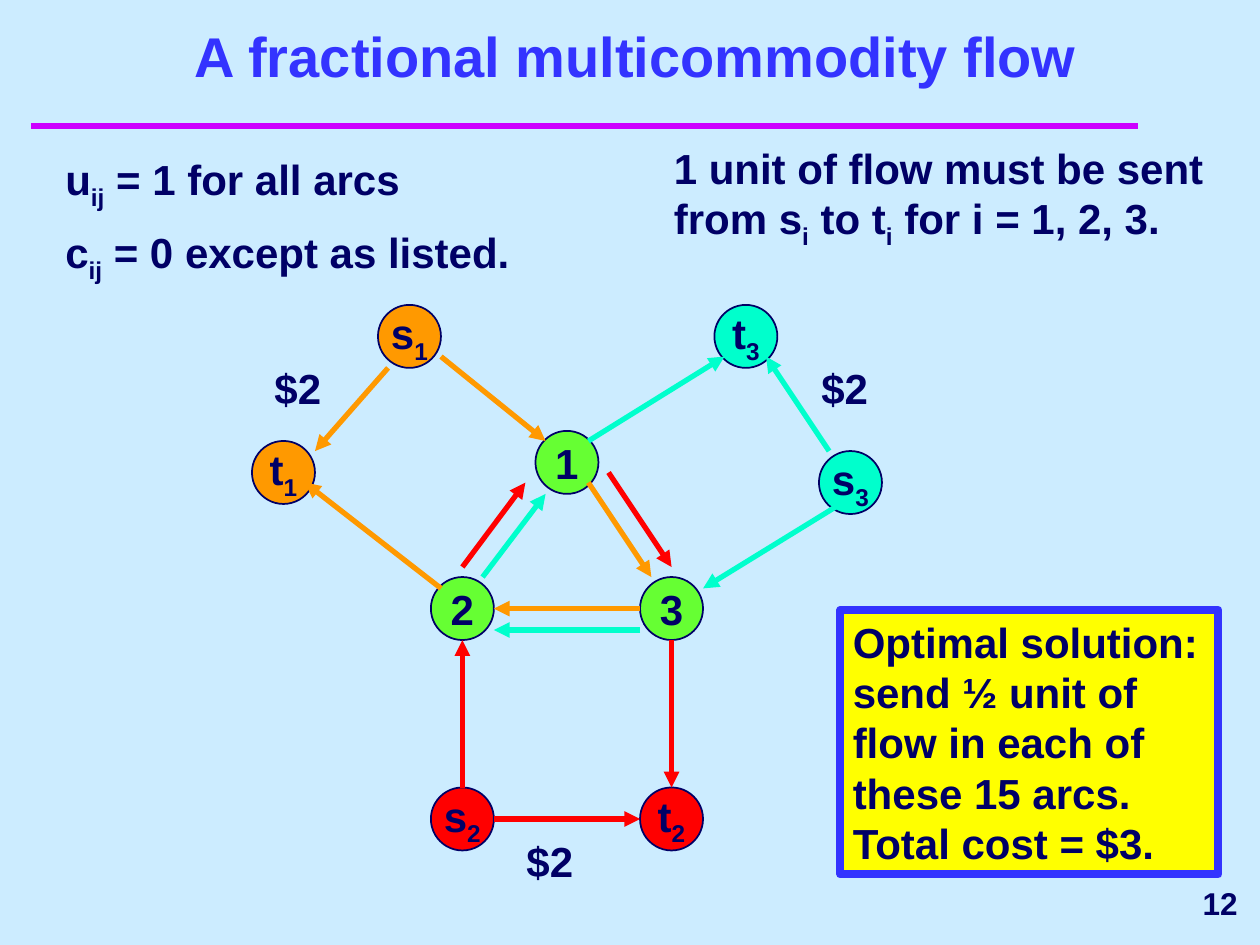
from lxml.etree import SubElement
from pptx import Presentation
from pptx.dml.color import RGBColor
from pptx.enum.shapes import MSO_CONNECTOR, MSO_SHAPE
from pptx.enum.text import MSO_ANCHOR, PP_ALIGN
from pptx.oxml.ns import qn
from pptx.util import Inches, Pt

NAVY, BLUE, PURPLE = "000066", "3333FF", "CC00FF"
ORANGE, CYAN, RED, GREEN = "FF9900", "00FFCC", "FF0000", "66FF33"
NODE = 0.5

NODES = [
    ("s_1", 1, 0, ORANGE), ("t_3", 3.67, 0, CYAN), ("1", 2.25, 1, GREEN),
    ("t_1", 0, 1.08, ORANGE), ("2", 1.42, 2.16, GREEN), ("s_2", 1.42, 3.83, RED),
    ("3", 3.08, 2.16, GREEN), ("s_3", 4.5, 1.16, CYAN), ("t_2", 3.08, 3.83, RED),
]
FLOWS = {
    ORANGE: [
        (1.08, 0.5, 0.5, 1.16), (1.5, 0.41, 2.33, 1.08), (3.08, 2.41, 1.92, 2.41),
        (2.67, 1.41, 3.17, 2.16), (1.5, 2.25, 0.42, 1.41),
    ],
    CYAN: [
        (2.67, 1.08, 3.75, 0.41), (1.83, 2.16, 2.33, 1.5), (4.67, 1.58, 3.58, 2.25),
        (4.58, 1.16, 4.08, 0.41), (3.08, 2.58, 1.92, 2.58),
    ],
    RED: [
        (1.67, 2.08, 2.17, 1.41), (1.67, 3.83, 1.67, 2.66), (3.33, 2.66, 3.33, 3.83),
        (1.92, 4.08, 3.08, 4.08), (2.83, 1.33, 3.33, 2.08),
    ],
}
COSTS = [(0.08, 0.41), (4.42, 0.41), (2.08, 4.16)]


def rgb(color):
    """Turn a hex string into a colour."""
    return RGBColor.from_string(color)


def write(sp, text, size=24, color=NAVY, align=PP_ALIGN.LEFT, anchor=MSO_ANCHOR.TOP, wrap=True):
    """Fill a shape with bold text, where _x_ or a final _x is a subscript."""
    tf = sp.text_frame
    tf.word_wrap = wrap
    tf.vertical_anchor = anchor
    p = tf.paragraphs[0]
    p.alignment = align
    p.font.name, p.font.size, p.font.bold = "Arial", Pt(size), True
    p.font.color.rgb = rgb(color)
    for i, part in enumerate(text.split("_")):
        r = p.add_run()
        r.text = part
        if i % 2:
            r._r.get_or_add_rPr().set("baseline", "-25000")


def add_text(s, box, text, **style):
    """Add a text box at left, top, width, height."""
    write(s.shapes.add_textbox(*map(Inches, box)), text, **style)


def add_panel(s, kind, box, fill, line, width):
    """Add a filled and outlined shape."""
    sp = s.shapes.add_shape(kind, *map(Inches, box))
    sp.shadow.inherit = False
    sp.fill.solid()
    sp.fill.fore_color.rgb = rgb(fill)
    sp.line.color.rgb = rgb(line)
    sp.line.width = Pt(width)
    return sp


def add_line(s, ends, color, width, arrow=False):
    """Add a straight line, with an arrowhead at its end if asked."""
    c = s.shapes.add_connector(MSO_CONNECTOR.STRAIGHT, *map(Inches, ends))
    c.line.color.rgb = rgb(color)
    c.line.width = Pt(width)
    if arrow:
        SubElement(c.line._get_or_add_ln(), qn("a:tailEnd"), type="triangle")
    SubElement(c._element.spPr, qn("a:effectLst"))


def add_heading(s, x, y, w, h):
    """Place the title and the rule below it."""
    add_text(s, (x, y, w, h), "A fractional multicommodity flow", size=32, color=BLUE,
             align=PP_ALIGN.CENTER, anchor=MSO_ANCHOR.BOTTOM)
    add_line(s, (x - 0.17, y + 0.67, x + 8.61, y + 0.67), PURPLE, 4)


def add_assumptions(s, x, y):
    """Place the capacities, the costs and the demand."""
    add_text(s, (x, y + 0.09, 3.08, 0.56), "u_ij_ = 1 for all arcs")
    add_text(s, (x, y + 0.67, 4, 0.56), "c_ij_ = 0 except as listed.")
    add_text(s, (x + 4.83, y, 4.5, 0.96),
             "1 unit of flow must be sent from s_i_ to t_i_ for i = 1, 2, 3.")


def add_network(s, x, y):
    """Place the nodes, the arc costs and the flow of each commodity."""
    for name, dx, dy, fill in NODES:
        sp = add_panel(s, MSO_SHAPE.OVAL, (x + dx, y + dy, NODE, NODE), fill, NAVY, 1)
        write(sp, name, align=PP_ALIGN.CENTER, anchor=MSO_ANCHOR.MIDDLE, wrap=False)
    for dx, dy in COSTS:
        add_text(s, (x + dx, y + dy, 0.92, 0.5), "$2")
    for color, arcs in FLOWS.items():
        for x1, y1, x2, y2 in arcs:
            add_line(s, (x + x1, y + y1, x + x2, y + y2), color, 3, arrow=True)


def add_solution(s, x, y, w, h):
    """Place the framed optimal solution."""
    sp = add_panel(s, MSO_SHAPE.RECTANGLE, (x, y, w, h), "FFFF00", BLUE, 4.5)
    write(sp, "Optimal solution: send ½ unit of flow in each of these 15 arcs. Total cost = $3.")


def main():
    """Build the slide."""
    prs = Presentation()
    prs.slide_width, prs.slide_height = Inches(10), Inches(7.5)
    s = prs.slides.add_slide(prs.slide_layouts[6])
    s.background.fill.solid()
    s.background.fill.fore_color.rgb = rgb("CCECFF")
    add_heading(s, 0.42, 0.33, 9.25, 0.42)
    add_assumptions(s, 0.42, 1.08)
    add_network(s, 2, 2.42)
    add_solution(s, 6.67, 4.84, 3, 2.1)
    add_text(s, (8, 6.92, 1.92, 0.5), "12", size=18, align=PP_ALIGN.RIGHT,
             anchor=MSO_ANCHOR.MIDDLE, wrap=False)
    prs.save("out.pptx")


if __name__ == "__main__":
    main()
